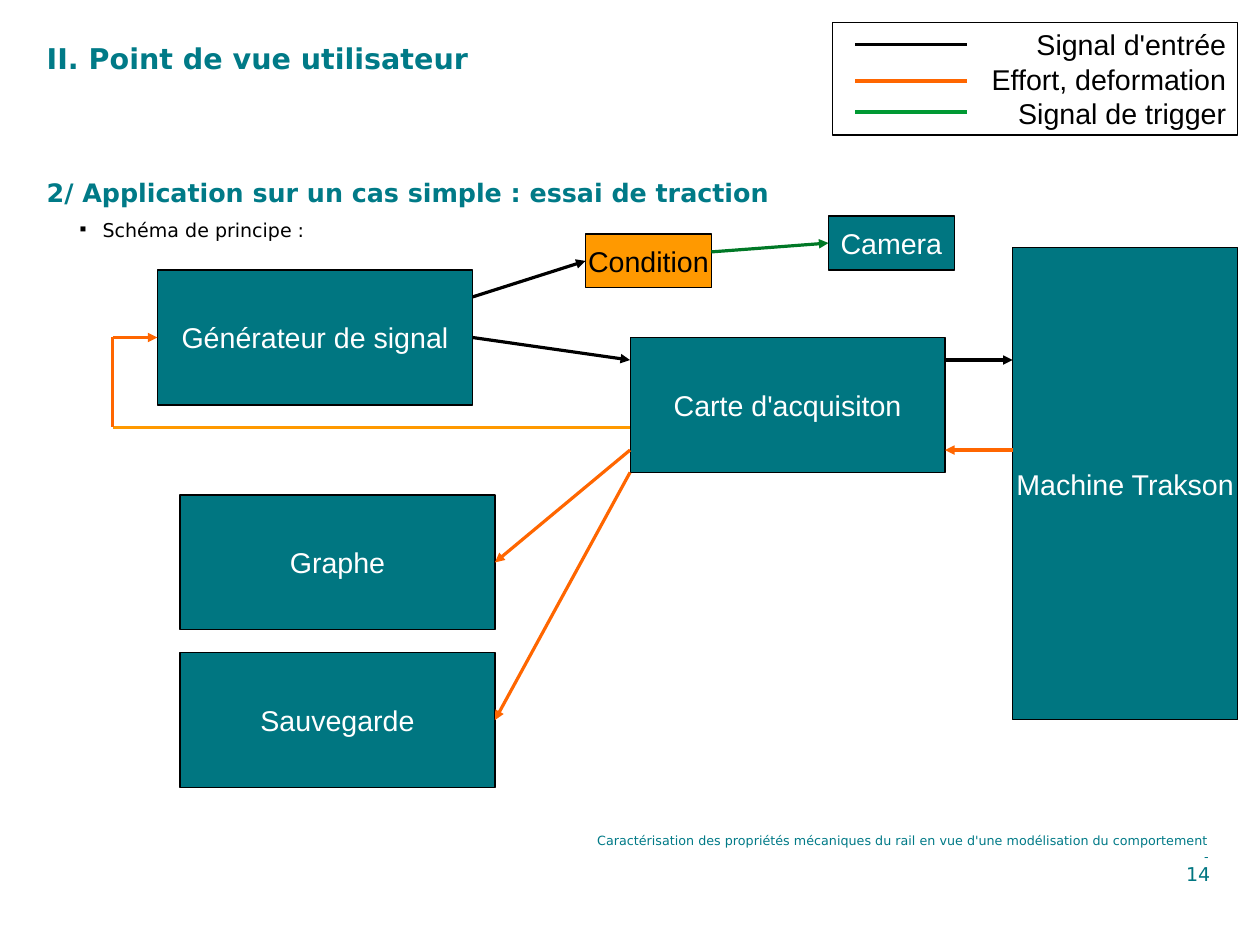
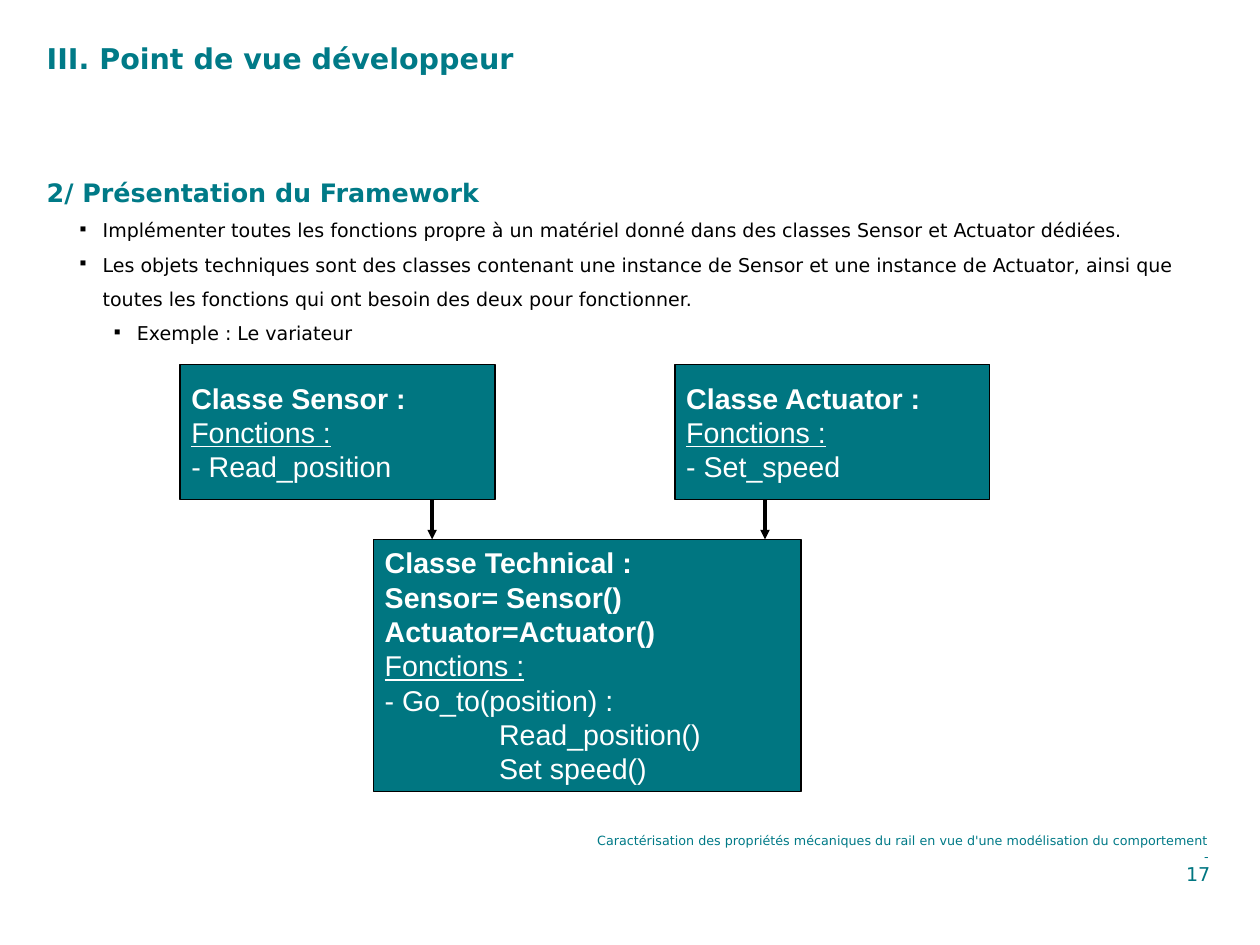
from lxml.etree import SubElement
from pptx import Presentation
from pptx.dml.color import RGBColor
from pptx.enum.shapes import MSO_CONNECTOR as CONN, MSO_SHAPE as SHAPE
from pptx.enum.text import MSO_ANCHOR as ANCHOR, PP_ALIGN as ALIGN
from pptx.oxml.ns import qn
from pptx.util import Pt

TEAL, TITLE, ORANGE, AMBER = "007681", "007A87", "FF6600", "FF9900"
BLACK, WHITE, GREEN, DARK_GREEN = "000000", "FFFFFF", "009933", "007826"
SANS, ARIAL = "DejaVu Sans", "Arial"
TOP, LEFT, BOTTOM, RIGHT = range(4)
BOX_W, BOX_H = 198.4, 85
SMALL_W, SMALL_H = 79.2, 34
FOOTER = ("Caractérisation des propriétés mécaniques du rail "
          "en vue d'une modélisation du comportement")


def paint(fmt, color):
    fmt.solid()
    fmt.fore_color.rgb = RGBColor.from_string(color)


def bullet(p):
    pPr = p._p.get_or_add_pPr()
    SubElement(SubElement(pPr, qn("a:buClr")), qn("a:srgbClr"), val=BLACK)
    SubElement(pPr, qn("a:buSzPct"), val="45000")
    SubElement(pPr, qn("a:buChar"), char="■")


def write(p, text, size=18, font=ARIAL, color=WHITE, bold=False, underline=False,
          align=ALIGN.LEFT, margin=0, hang=0, spacing=None, level=0, bulleted=False):
    p.alignment = align
    p.level = level
    if spacing:
        p.line_spacing = spacing
    pPr = p._p.get_or_add_pPr()
    pPr.set("marL", str(Pt(margin)))
    pPr.set("indent", str(-Pt(hang)))
    if bulleted:
        bullet(p)
    r = p.add_run()
    r.text = text
    r.font.size, r.font.name = Pt(size), font
    r.font.bold, r.font.underline = bold, underline
    paint(r.font.fill, color)


def fill_text(tf, paras, **fmt):
    for i, (text, extra) in enumerate(paras):
        p = tf.add_paragraph() if i else tf.paragraphs[0]
        write(p, text, **{**fmt, **extra})


def textbox(s, x, y, w, h, paras, inset=True, **fmt):
    tf = s.shapes.add_textbox(Pt(x), Pt(y), Pt(w), Pt(h)).text_frame
    tf.word_wrap = True
    if not inset:
        tf.margin_left = tf.margin_right = tf.margin_top = tf.margin_bottom = 0
    fill_text(tf, paras, **fmt)


def block(s, x, y, w, h, paras, fill=TEAL, align=ALIGN.CENTER, **fmt):
    sp = s.shapes.add_shape(SHAPE.RECTANGLE, Pt(x), Pt(y), Pt(w), Pt(h))
    sp.shadow.inherit = False
    if fill:
        paint(sp.fill, fill)
    else:
        sp.fill.background()
    paint(sp.line.fill, BLACK)
    sp.line.width = Pt(0)
    tf = sp.text_frame
    tf.word_wrap = align != ALIGN.CENTER
    tf.vertical_anchor = ANCHOR.MIDDLE
    fill_text(tf, paras, align=align, **fmt)
    return sp


def link(s, start, end, color=BLACK, arrow=True):
    xy = [(0, 0) if hasattr(e[0], "shape_id") else (Pt(e[0]), Pt(e[1]))
          for e in (start, end)]
    c = s.shapes.add_connector(CONN.STRAIGHT, *xy[0], *xy[1])
    for e, join in ((start, c.begin_connect), (end, c.end_connect)):
        if hasattr(e[0], "shape_id"):
            join(*e)
    paint(c.line.fill, color)
    c.line.width = Pt(0)
    if arrow:
        SubElement(c.line._get_or_add_ln(), qn("a:tailEnd"), type="triangle")
    SubElement(c._element.spPr, qn("a:effectLst"))


def content_slide(prs, title, heading, bullets, number):
    s = prs.slides.add_slide(prs.slide_layouts[6])
    textbox(s, 368.5, 521.3, 400, 51.8, [(FOOTER, {}), ("-", {})],
            size=8, font=SANS, color=TITLE, align=ALIGN.RIGHT)
    textbox(s, 22.3, 22.3, 430.6, 55.4, [(title, {})],
            font=SANS, color=TITLE, bold=True)
    item = dict(size=12, color=BLACK, bold=False, hang=14.4, spacing=1.5, bulleted=True)
    paras = [(heading, {})]
    for text, level in bullets:
        paras.append((text, dict(item, level=level, margin=35.3 + 21.6 * level)))
    textbox(s, 22.3, 108, 742.3, 354.2, paras,
            size=16, font=SANS, color=TITLE, bold=True)
    textbox(s, 577.4, 543.6, 185, 41, [(number, {})], inset=False,
            size=12, font=SANS, color=TEAL, align=ALIGN.RIGHT)
    return s


def legend(s, x, y):
    rows = [("Signal d'entrée", 13.9, BLACK), ("Effort, deformation", 36.9, ORANGE),
            ("Signal de trigger", 56.4, GREEN)]
    block(s, x, y, 255.1, 70.9, [(text, {}) for text, _, _ in rows],
          fill=None, align=ALIGN.RIGHT, color=BLACK)
    for _, dy, color in rows:
        link(s, (x + 14.2, y + dy), (x + 85, y + dy), color, arrow=False)


def signal_diagram(s, x, y):
    def node(text, dx, dy, w=BOX_W, h=BOX_H, **fmt):
        return block(s, x + dx, y + dy, w, h, [(text, {})], **fmt)

    backup = node("Sauvegarde", 42.5, 275)
    generator = node("Générateur de signal", 28.3, 34)
    graph = node("Graphe", 42.5, 175.7)
    card_x, card_y = 326, 76.5
    node("Carte d'acquisiton", card_x, card_y)
    machine_x = 567
    node("Machine Trakson", machine_x, 19.8, 141.7, 297.6)
    camera = node("Camera", 451, 0, SMALL_W, SMALL_H)
    condition = node("Condition", 298, 11.3, SMALL_W, SMALL_H, fill=AMBER, color=BLACK)

    def at(dx, dy):
        return x + dx, y + dy

    card_right, input_y = card_x + BOX_W, card_y + 14.2
    output_y, loop_y, loop_top = card_y + 70.9, card_y + 56.7, 76.5
    link(s, (generator, RIGHT), at(card_x, input_y))
    link(s, at(card_right, input_y), at(machine_x, input_y))
    link(s, at(machine_x, output_y), at(card_right, output_y), ORANGE)
    link(s, at(card_x, card_y + BOX_H), (backup, RIGHT), ORANGE)
    link(s, at(card_x, output_y), (graph, RIGHT), ORANGE)
    link(s, at(card_x, loop_y), at(0, loop_y), AMBER, arrow=False)
    link(s, at(0, loop_top), at(0, loop_y), ORANGE, arrow=False)
    link(s, at(0, loop_top), (generator, LEFT), ORANGE)
    link(s, at(28.3 + BOX_W, 51), (condition, LEFT))
    link(s, at(298 + SMALL_W, 22.6), (camera, LEFT), DARK_GREEN)


def class_block(s, x, y, w, h, heads, functions):
    paras = [(text, dict(bold=True)) for text in heads]
    paras.append(("Fonctions :", dict(underline=True)))
    paras += [(text, dict(margin=margin)) for text, margin in functions]
    block(s, x, y, w, h, paras, align=ALIGN.LEFT)


def class_diagram(s, x, y):
    class_block(s, x, y, BOX_W, BOX_H, ["Classe Sensor :"], [("- Read_position", 0)])
    class_block(s, x + 121.9, y + 110.2, 269.3, 158.7,
                ["Classe Technical :", "Sensor= Sensor()", "Actuator=Actuator()"],
                [("- Go_to(position) :", 0), ("Read_position()", 72), ("Set speed()", 72)])
    class_block(s, x + 311.8, y, BOX_W, BOX_H, ["Classe Actuator :"], [("- Set_speed", 0)])
    for dx in (158.8, 368.5):
        link(s, (x + dx, y + BOX_H), (x + dx, y + 110.2))


def main():
    prs = Presentation()
    prs.slide_width, prs.slide_height = Pt(793.7), Pt(595.3)
    s = content_slide(prs, "II. Point de vue utilisateur",
                      "2/ Application sur un cas simple : essai de traction",
                      [("Schéma de principe :", 0)], "14")
    signal_diagram(s, 70.9, 136.1)
    legend(s, 524.4, 14.2)
    s = content_slide(prs, "III. Point de vue développeur", "2/ Présentation du Framework", [
        ("Implémenter toutes les fonctions propre à un matériel donné dans des classes "
         "Sensor et Actuator dédiées.", 0),
        ("Les objets techniques sont des classes contenant une instance de Sensor et une "
         "instance de Actuator, ainsi que toutes les fonctions qui ont besoin des deux "
         "pour fonctionner.", 0),
        ("Exemple : Le variateur", 1)], "17")
    class_diagram(s, 113.4, 229.6)
    prs.save("out.pptx")


if __name__ == "__main__":
    main()
